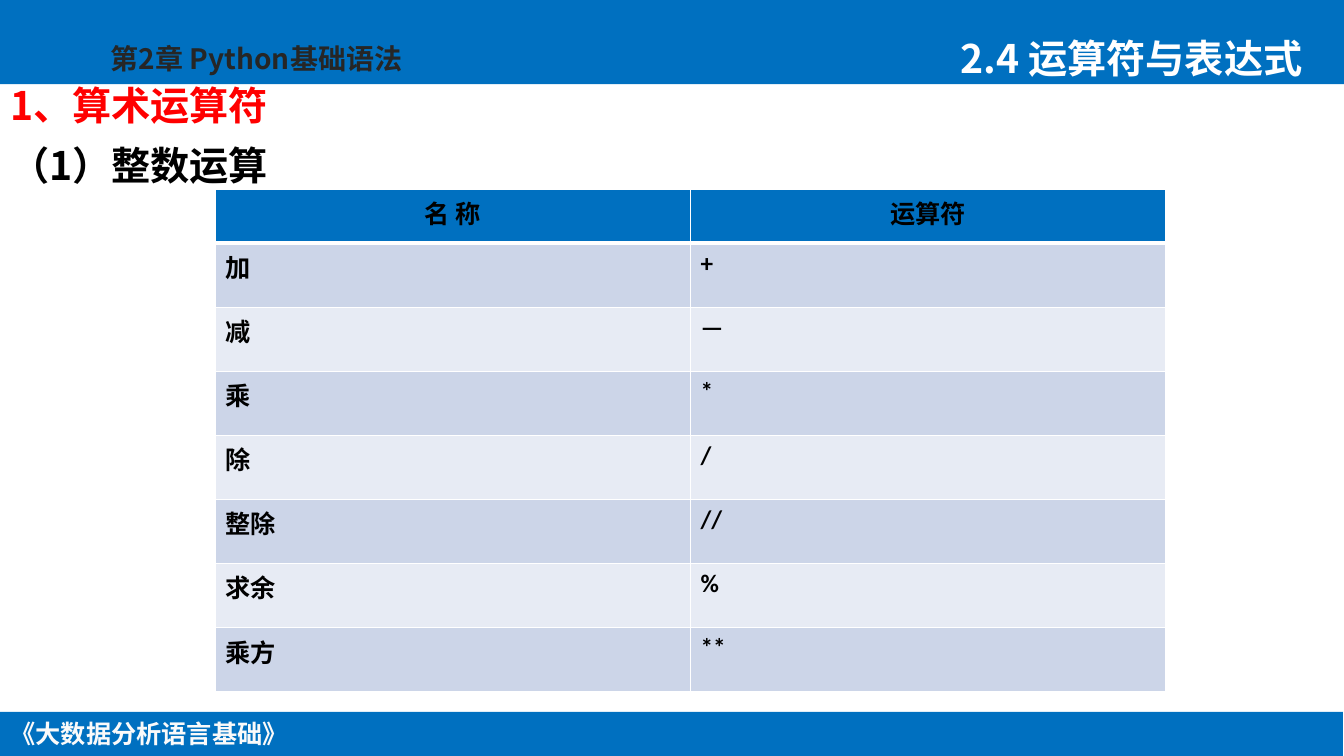
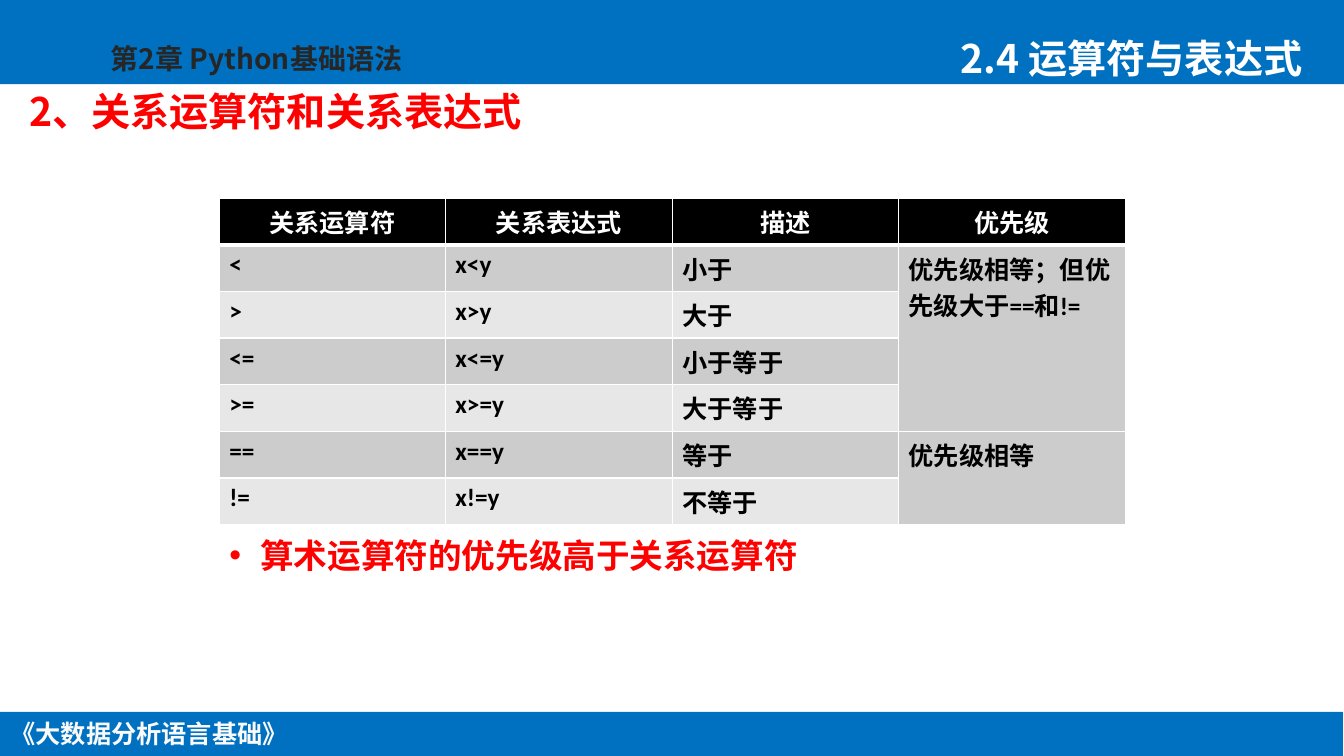
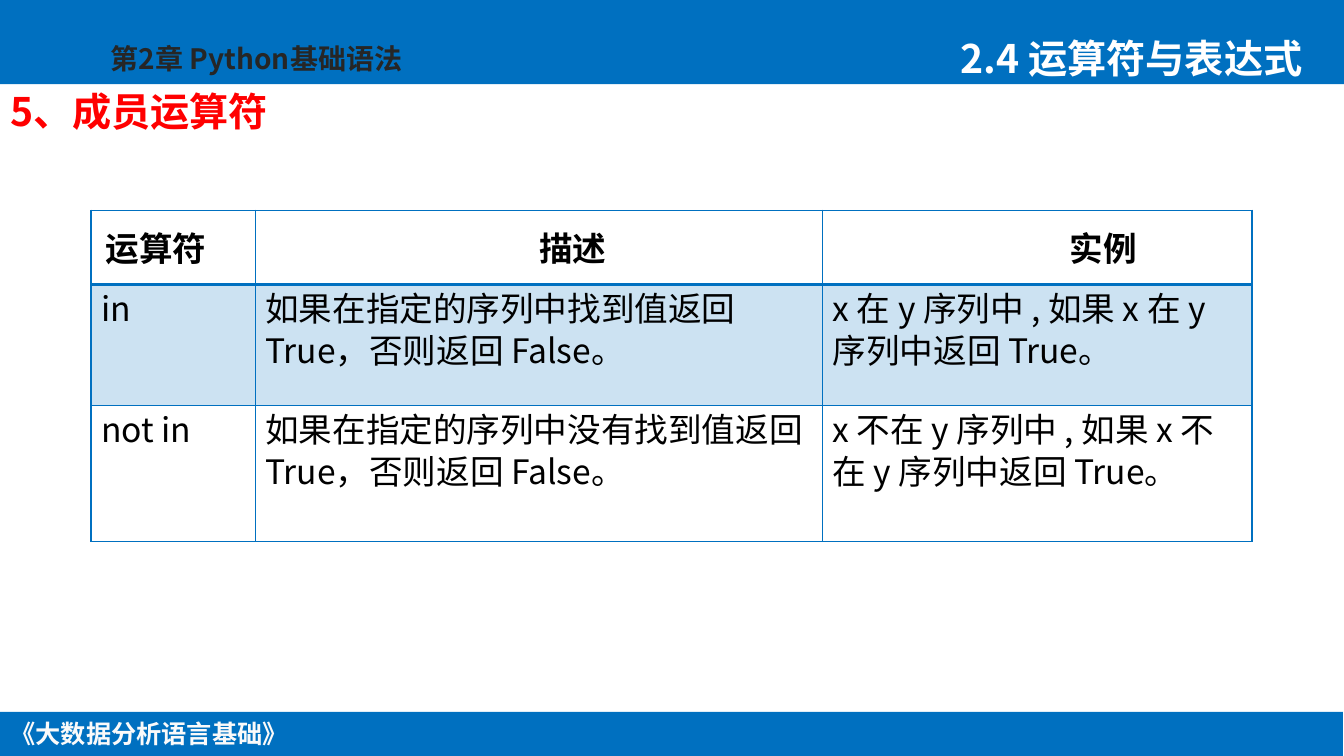
import lxml.etree
import pptx
import pptx.dml.color
import pptx.enum.shapes
import pptx.enum.text
import pptx.oxml.ns
import pptx.util

PX = 9080
C = {"blue": "0070C0", "white": "FFFFFF", "near_white": "FAFAFA", "dark": "262626",
     "red": "FF0000", "black": "000000", "blue_band": "CCD5E8", "blue_pale": "E7EBF4",
     "grey_band": "CCCCCC", "grey_pale": "E7E7E7"}
CJK = "Noto Sans CJK SC"
LEFT, CENTER = pptx.enum.text.PP_ALIGN.LEFT, pptx.enum.text.PP_ALIGN.CENTER
TOP, MIDDLE = pptx.enum.text.MSO_ANCHOR.TOP, pptx.enum.text.MSO_ANCHOR.MIDDLE
qn = pptx.oxml.ns.qn
rgb = pptx.dml.color.RGBColor.from_string


def style(name, size, color, bold=True, **para):
    return {"font": {"name": name, "size": pptx.util.Pt(size), "bold": bold},
            "color": C[color], "para": {"alignment": LEFT, **para}}


def put_text(tf, text, st):
    p = tf.paragraphs[0]
    for key, value in st["para"].items():
        setattr(p, key, value)
    r = p.add_run()
    r.text = text
    for key, value in st["font"].items():
        setattr(r.font, key, value)
    r.font.color.rgb = rgb(st["color"])
    lxml.etree.SubElement(r._r.rPr, qn("a:ea"), typeface=CJK)


FOOTER = style(CJK, 18, "near_white", alignment=CENTER)
CHAPTER = style(CJK, 20, "dark")
SECTION = style(CJK, 28, "white")
TITLE = style(CJK, 28, "red", line_spacing=0.9)
SUBTITLE = style(CJK, 28, "black", line_spacing=0.9, space_before=0)
BULLET = style("DejaVu Sans", 24, "red", space_before=0)
CELL = style("Calibri", 18, "black")
HEAD = style("Calibri", 18, "black", alignment=CENTER)
HEAD_WHITE = style("Calibri", 18, "white", alignment=CENTER)
HEAD_BIG = style("Calibri", 24, "black", alignment=CENTER)
CELL_BIG = style(CJK, 24, "black", False, line_spacing=pptx.util.Pt(30))

slides = [
    {"title": ("1、算术运算符", (0, 81, 890, 60)),
     "body": ("（1）整数运算", (0, 141, 838, 61), SUBTITLE, 0),
     "at": (215, 189), "cols": [475] * 2, "heights": [54] + [64] * 7,
     "head": HEAD, "cell": CELL, "fills": ["blue", "blue_band", "blue_pale"],
     "line": "white", "head_line": 3, "alpha": 100, "merges": [], "shifts": [0] * 2,
     "rows": [("名 称", "运算符"), ("加", "+"), ("减", "—"), ("乘", "*"), ("除", "/"),
              ("整除", "//"), ("求余", "%"), ("乘方", "**")]},
    {"title": ("2、关系运算符和关系表达式", (19, 87, 557, 74)),
     "body": ("算术运算符的优先级高于关系运算符", (219, 529, 611, 50), BULLET, 31),
     "at": (219, 198), "cols": [226, 227] * 2, "heights": [41] * 7,
     "head": HEAD_WHITE, "cell": CELL, "fills": ["black", "grey_band", "grey_pale"],
     "line": "white", "head_line": 3, "alpha": 100, "merges": [(1, 4), (5, 6)],
     "shifts": [0] * 4,
     "rows": [("关系运算符", "关系表达式", "描述", "优先级"),
              ("<", "x<y", "小于", "优先级相等；但优先级大于==和!="),
              (">", "x>y", "大于", ""), ("<=", "x<=y", "小于等于", ""),
              (">=", "x>=y", "大于等于", ""), ("==", "x==y", "等于", "优先级相等"),
              ("!=", "x!=y", "不等于", "")]},
    {"title": ("5、成员运算符", (0, 87, 803, 86)), "body": None,
     "at": (91, 210), "cols": [164, 567, 429], "heights": [74, 121, 122],
     "head": HEAD_BIG, "cell": CELL_BIG, "fills": [None, "blue", None],
     "line": "blue", "head_line": 2, "alpha": 20, "merges": [], "shifts": [-34, 68, 132],
     "rows": [("运算符", "描述", "实例"),
              ("in", "如果在指定的序列中找到值返回 True，否则返回 False。",
               "x 在 y 序列中 , 如果 x 在 y 序列中返回 True。"),
              ("not in", "如果在指定的序列中没有找到值返回 True，否则返回 False。",
               "x 不在 y 序列中 , 如果 x 不在 y 序列中返回 True。")]},
]

prs = pptx.Presentation()
prs.slide_width, prs.slide_height = 1343 * PX, 755 * PX

for n, d in enumerate(slides):
    s = prs.slides.add_slide(prs.slide_layouts[1 if d["body"] else 5])

    if n == 0:
        shared = []
        for box in [(0, 0, 1343, 84), (-1, 711, 1343, 45)]:
            sp = s.shapes.add_shape(pptx.enum.shapes.MSO_SHAPE.RECTANGLE, *[v * PX for v in box])
            sp.shadow.inherit = False
            sp.fill.solid()
            sp.fill.fore_color.rgb = rgb(C["blue"])
            sp.line.fill.background()
            shared.append(sp)
        for text, box, st, wrap in [
                ("《大数据分析语言基础》", (-1, 712, 300, 40), FOOTER, False),
                ("第2章 Python基础语法", (101, 37, 381, 44), CHAPTER, True)]:
            sp = s.shapes.add_textbox(*[v * PX for v in box])
            sp.text_frame.word_wrap = wrap
            put_text(sp.text_frame, text, st)
            shared.append(sp)
        for i, sp in enumerate(shared):
            sp._element.nvSpPr.cNvPr.set("id", str(20 + i))
            prs.slide_master.shapes._spTree.append(sp._element)

    texts = [(s.shapes.title, *d["title"], TITLE)]
    if d["body"]:
        text, box, st, indent = d["body"]
        sp = s.placeholders[1]
        pPr = sp.text_frame.paragraphs[0]._p.get_or_add_pPr()
        pPr.set("marL", str(indent * PX))
        pPr.set("indent", str(-indent * PX))
        if indent:
            lxml.etree.SubElement(pPr, qn("a:buChar"), char="•")
        else:
            lxml.etree.SubElement(pPr, qn("a:buNone"))
        texts.append((sp, text, box, st))
    for sp, text, box, st in texts:
        sp.left, sp.top, sp.width, sp.height = [v * PX for v in box]
        tf = sp.text_frame
        tf.auto_size = pptx.enum.text.MSO_AUTO_SIZE.NONE
        tf.word_wrap = True
        tf.vertical_anchor = TOP
        put_text(tf, text, st)

    cols, heights = d["cols"], d["heights"]
    size = (sum(cols), sum(heights))
    tbl = s.shapes.add_table(len(heights), len(cols), *[v * PX for v in d["at"] + size]).table
    for col, width in zip(tbl.columns, cols):
        col.width = width * PX
    for row, height in zip(tbl.rows, heights):
        row.height = height * PX
    for first, last in d["merges"]:
        tbl.cell(first, 3).merge(tbl.cell(last, 3))

    for i, row in enumerate(d["rows"]):
        for j, text in enumerate(row):
            cell = tbl.cell(i, j)
            fill = d["fills"][0 if i == 0 else 2 - i % 2]
            if cell.is_merge_origin:
                fill = d["fills"][1]
            if fill:
                cell.fill.solid()
                cell.fill.fore_color.rgb = rgb(C[fill])
                if d["alpha"] < 100:
                    clr = cell._tc.tcPr.find(".//" + qn("a:srgbClr"))
                    lxml.etree.SubElement(clr, qn("a:alpha"), val=str(d["alpha"] * 1000))
            else:
                cell.fill.background()
            for k, side in enumerate(["lnL", "lnR", "lnT", "lnB"]):
                heavy = (i, side) in [(0, "lnB"), (1, "lnT")]
                width = pptx.util.Pt(d["head_line"] if heavy else 1)
                ln = lxml.etree.Element(qn("a:" + side), w=str(width))
                solid = lxml.etree.SubElement(ln, qn("a:solidFill"))
                lxml.etree.SubElement(solid, qn("a:srgbClr"), val=C[d["line"]])
                cell._tc.tcPr.insert(k, ln)
            if i == 0:
                shift = d["shifts"][j]
                cell.margin_left = (10 + max(shift, 0)) * PX
                cell.margin_right = (10 + max(-shift, 0)) * PX
                if d["head"] is HEAD_BIG:
                    cell.vertical_anchor = MIDDLE
            if text:
                put_text(cell.text_frame, text, d["cell"] if i else d["head"])

    sp = s.shapes.add_textbox(*[v * PX for v in (950, 29, 393, 57)])
    sp.text_frame.word_wrap = True
    put_text(sp.text_frame, "2.4 运算符与表达式", SECTION)

prs.save("out.pptx")
